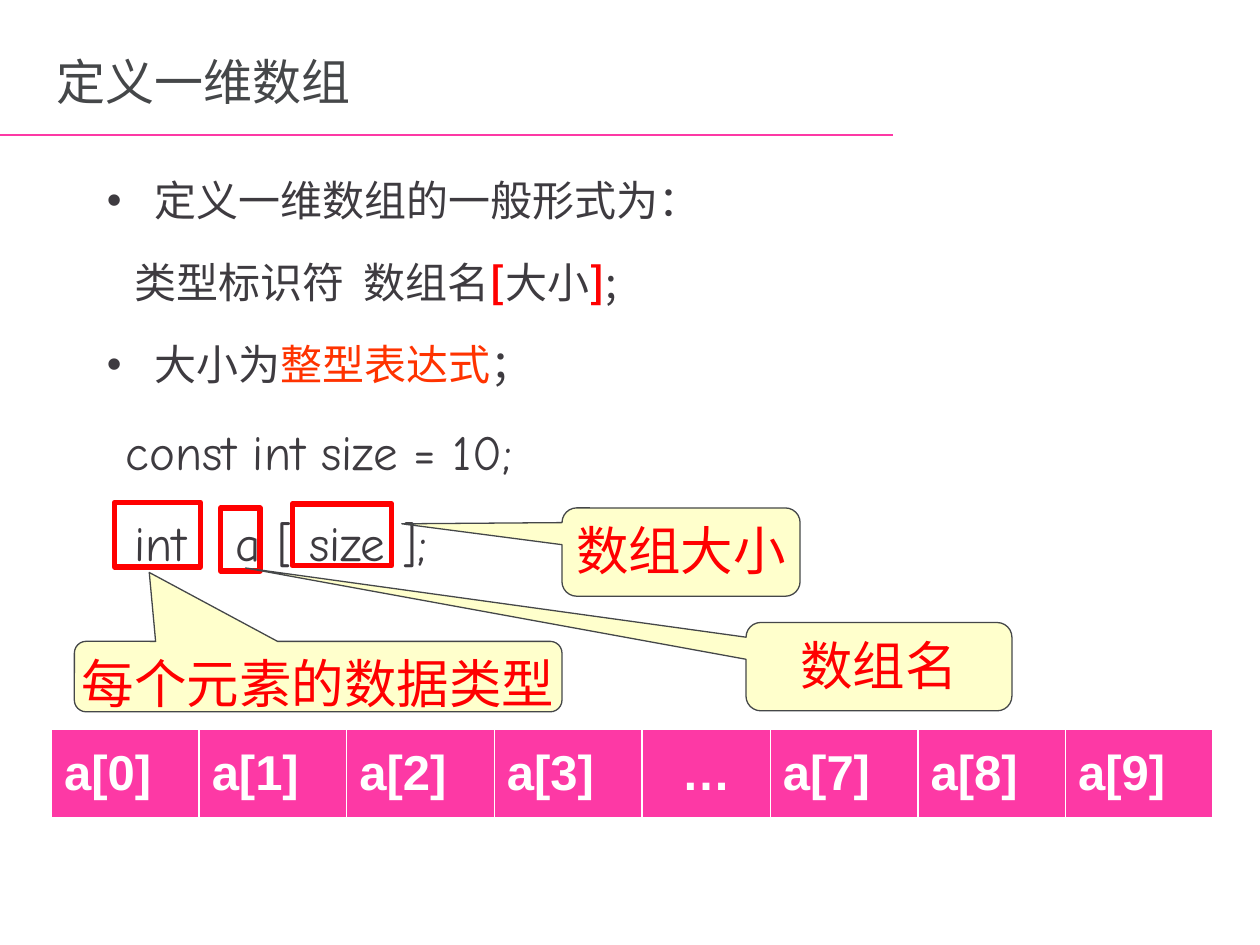
from pptx import Presentation
from pptx.dml.color import RGBColor
from pptx.enum.shapes import MSO_CONNECTOR, MSO_SHAPE
from pptx.enum.text import MSO_ANCHOR, MSO_AUTO_SIZE, PP_ALIGN
from pptx.oxml.ns import qn
from pptx.util import Cm, Pt
from lxml import etree

LEFT, CENTER = PP_ALIGN.LEFT, PP_ALIGN.CENTER
TOP, MIDDLE = MSO_ANCHOR.TOP, MSO_ANCHOR.MIDDLE
NO_FIT = MSO_AUTO_SIZE.NONE
STRAIGHT = MSO_CONNECTOR.STRAIGHT
PROCESS = MSO_SHAPE.FLOWCHART_PROCESS
CALLOUT = MSO_SHAPE.ROUNDED_RECTANGULAR_CALLOUT

PINK = RGBColor(0xFD, 0x39, 0xA5)
GRAY = RGBColor(0x45, 0x47, 0x49)
DARK = RGBColor(0x3E, 0x3B, 0x40)
RED = RGBColor(0xFF, 0x00, 0x00)
ORANGE = RGBColor(0xFF, 0x33, 0x00)
CREAM = RGBColor(0xFF, 0xFF, 0xCC)
WHITE = RGBColor(0xFF, 0xFF, 0xFF)
CJK, CODE, SANS = "Noto Sans CJK SC", "Comic Neue", "Arial"


def add_text(p, text, size=24, font=CJK, color=DARK, bold=False, align=LEFT):
    p.alignment = align
    r = p.add_run()
    r.text = text
    r.font.size, r.font.name, r.font.bold = Pt(size), font, bold
    r.font.color.rgb = color
    ea = etree.SubElement(r._r.get_or_add_rPr(), qn("a:ea"))
    ea.set("typeface", font)


def place(sp, x, y, w, h):
    sp.left, sp.top, sp.width, sp.height = Cm(x), Cm(y), Cm(w), Cm(h)


def set_indent(p, margin, bullet):
    pPr = p._p.get_or_add_pPr()
    pPr.set("marL", str(Cm(margin)))
    pPr.set("indent", str(-Cm(margin) if bullet else 0))
    if bullet:
        etree.SubElement(pPr, qn("a:buFont")).set("typeface", SANS)
        etree.SubElement(pPr, qn("a:buChar")).set("char", "•")
    else:
        etree.SubElement(pPr, qn("a:buNone"))


def add_title(s, x, y, w, h, rule_w):
    sp = s.shapes.title
    place(sp, x, y, w, h)
    tf = sp.text_frame
    tf.auto_size, tf.vertical_anchor, tf.word_wrap = NO_FIT, MIDDLE, False
    add_text(tf.paragraphs[0], "定义一维数组", size=28, color=GRAY)
    rule_y = Cm(y + h - 0.02)
    rule = s.shapes.add_connector(STRAIGHT, 0, rule_y, Cm(rule_w), rule_y)
    rule.line.color.rgb, rule.line.width = PINK, Pt(1.5)
    etree.SubElement(rule._element.spPr, qn("a:effectLst"))


def add_body(s, x, y, w, h):
    sp = s.placeholders[1]
    place(sp, x, y, w, h)
    tf = sp.text_frame
    tf.auto_size, tf.vertical_anchor, tf.word_wrap = NO_FIT, TOP, True
    bracket = {"color": RED, "bold": True}
    code = {"size": 28, "font": CODE}
    lines = [
        (0.97, True, 29, [("定义一维数组的一般形式为：", {})]),
        (0.56, False, 29, [("类型标识符  数组名", {}), ("[", bracket),
                           ("大小", {}), ("]", bracket), (";", {})]),
        (0.97, True, 29, [("大小为", {}), ("整型表达式", {"color": ORANGE}),
                          ("；", {})]),
        (0.38, False, 34, [("const int size = 10;", code)]),
        (0.56, False, 34, [("int   a [ size ];", code)]),
    ]
    for i, (margin, bullet, spacing, runs) in enumerate(lines):
        p = tf.add_paragraph() if i else tf.paragraphs[0]
        p.line_spacing = Pt(spacing)
        p.space_before, p.space_after = Pt(18 if i else 0), Pt(0)
        set_indent(p, margin, bullet)
        for text, style in runs:
            add_text(p, text, **style)


def add_note(s, text, mark, note, tip):
    grp = s.shapes.add_group_shape()
    frame = grp.shapes.add_shape(PROCESS, *map(Cm, mark))
    frame.shadow.inherit = False
    frame.fill.background()
    frame.line.color.rgb, frame.line.width = RED, Pt(3)

    x, y, w, h = note
    sp = grp.shapes.add_shape(CALLOUT, *map(Cm, note))
    sp.shadow.inherit = False
    sp.adjustments[0] = (tip[0] - x) / w - 0.5
    sp.adjustments[1] = (tip[1] - y) / h - 0.5
    sp.fill.solid()
    sp.fill.fore_color.rgb = CREAM
    sp.line.color.rgb, sp.line.width = GRAY, Pt(0.75)
    tf = sp.text_frame
    tf.word_wrap, tf.vertical_anchor = False, TOP
    add_text(tf.paragraphs[0], text, size=30, color=RED, align=CENTER)


def add_array(s, x, y, w, h, gap_w):
    labels = ["a[0]", "a[1]", "a[2]", "a[3]", "…", "a[7]", "a[8]", "a[9]"]
    table = s.shapes.add_table(1, len(labels), Cm(x), Cm(y), Cm(w), Cm(h)).table
    cell_w = (w - gap_w) / (len(labels) - 1)
    for i, label in enumerate(labels):
        is_gap = label == "…"
        table.columns[i].width = Cm(gap_w if is_gap else cell_w)
        cell = table.cell(0, i)
        cell.fill.solid()
        cell.fill.fore_color.rgb = PINK
        cell.vertical_anchor = MIDDLE
        add_text(cell.text_frame.paragraphs[0], label, size=28, font=SANS,
                 color=WHITE, bold=True, align=CENTER if is_gap else LEFT)


def main():
    prs = Presentation()
    prs.slide_width, prs.slide_height = Cm(25.4), Cm(19.05)
    s = prs.slides.add_slide(prs.slide_layouts[1])
    add_title(s, 0.89, 0.53, 7.6, 2.21, rule_w=18)
    add_body(s, 1.9, 3.38, 20.52, 12.34)
    add_note(s, "数组名", mark=(4.45, 10.24, 0.79, 1.27),
             note=(15.04, 12.55, 5.36, 1.78), tip=(4.95, 11.45))
    add_note(s, "数组大小", mark=(5.89, 10.16, 2.01, 1.24),
             note=(11.33, 10.24, 4.8, 1.78), tip=(8.1, 10.56))
    add_note(s, "每个元素的数据类型", mark=(2.31, 10.13, 1.73, 1.3),
             note=(1.5, 12.93, 9.83, 1.42), tip=(3.01, 11.54))
    add_array(s, 1.04, 14.71, 23.42, 1.78, gap_w=2.59)
    prs.save("out.pptx")


if __name__ == "__main__":
    main()
